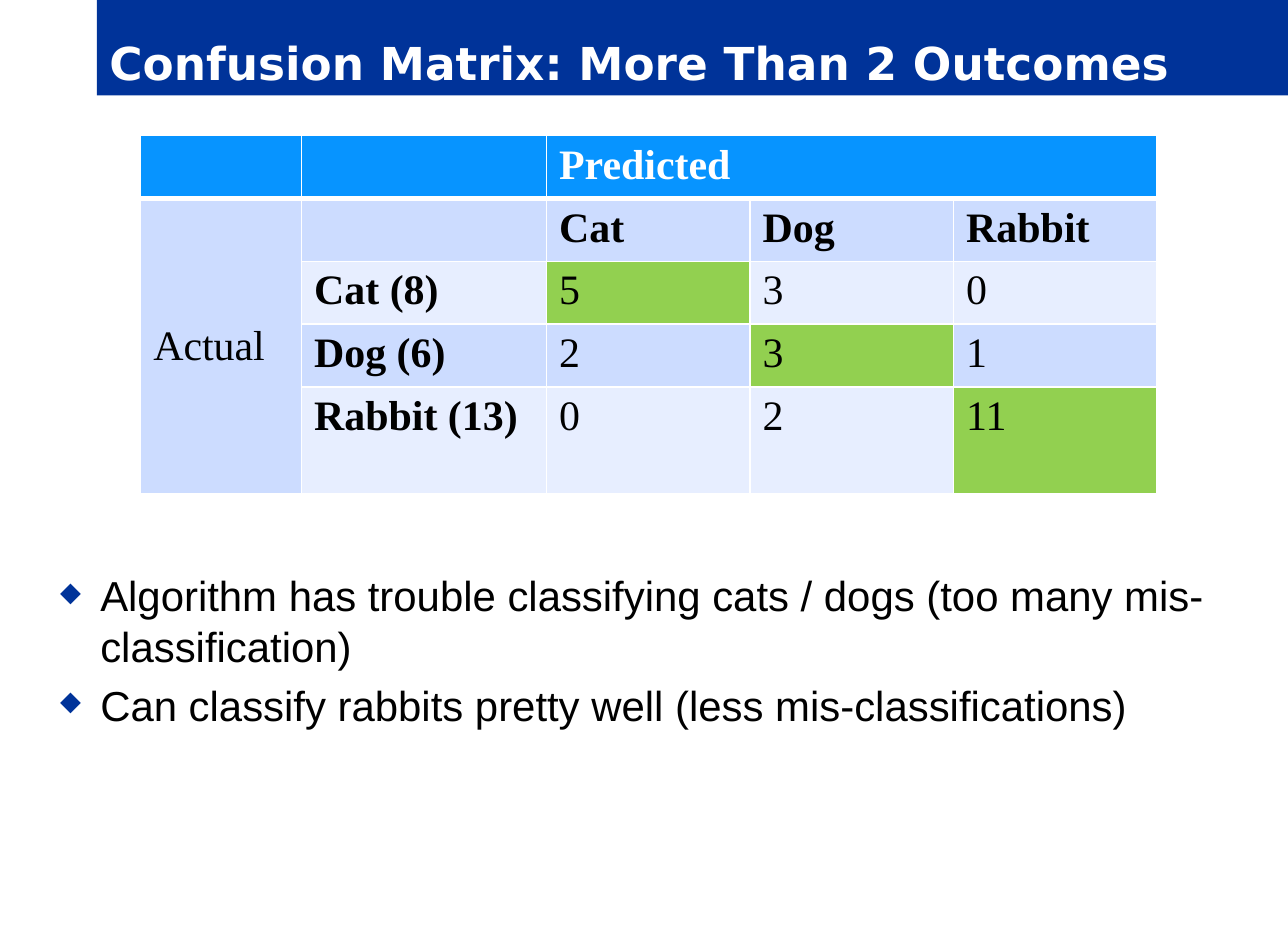
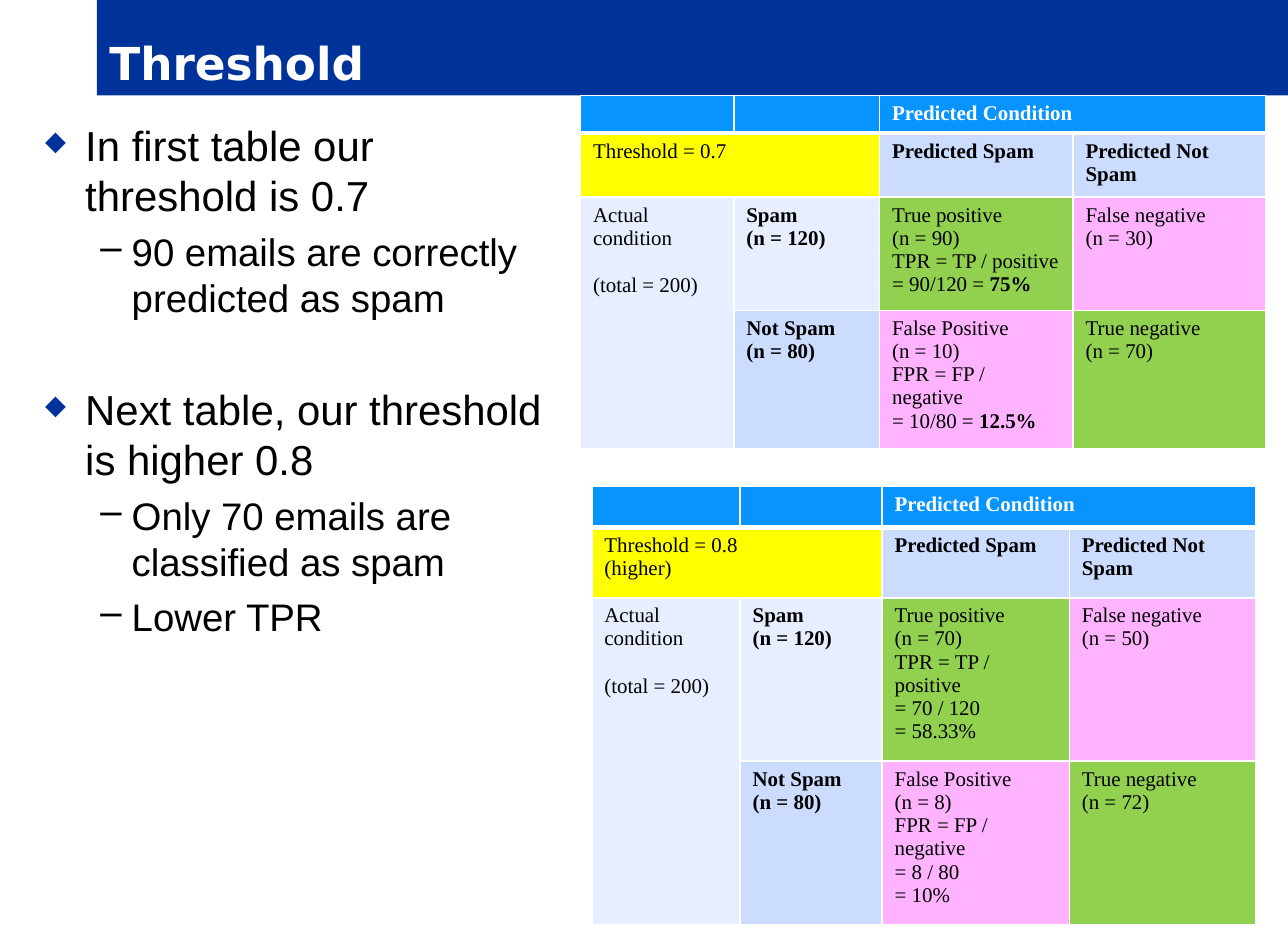
"""Build two slides on confusion matrices and spam thresholds."""
from dataclasses import dataclass

from lxml.etree import SubElement
from pptx import Presentation
from pptx.dml.color import RGBColor
from pptx.enum.text import MSO_ANCHOR, MSO_AUTO_SIZE, PP_ALIGN
from pptx.oxml.ns import qn
from pptx.util import Pt

PX = 9144


@dataclass(frozen=True)
class Theme:
    navy: str = "003399"
    header: str = "0794FF"
    bands: tuple = ("E7EEFF", "CCDCFF")
    green: str = "92D050"
    pink: str = "FFB3FF"
    yellow: str = "FFFF00"
    white: str = "FFFFFF"
    black: str = "000000"
    title_font: str = "DejaVu Sans"
    body_font: str = "Arial"
    table_font: str = "Times New Roman"
    title_size: int = 26
    level_sizes: tuple = (24, 22)
    large_cell: int = 24
    small_cell: int = 12


theme = Theme()
BULLETS = (("◆", theme.navy, 65, 32, -32), ("–", theme.black, 100, 69, -25))


def write(frame, text, font, size, color=theme.black, bold=False, before=0, level=None):
    for line in text.split("\n"):
        para = frame.paragraphs[0]
        if para.runs:
            if not line:
                before = size * 1.15
                continue
            para = frame.add_paragraph()
        para.alignment = PP_ALIGN.LEFT
        para.space_before = Pt(before)
        before = 0
        if level is not None:
            mark, mark_color, percent, left, indent = BULLETS[level]
            para.level = level
            properties = para._p.get_or_add_pPr()
            properties.set("marL", str(left * PX))
            properties.set("indent", str(indent * PX))
            paint = SubElement(properties, qn("a:buClr"))
            SubElement(paint, qn("a:srgbClr"), val=mark_color)
            SubElement(properties, qn("a:buSzPct"), val=str(percent * 1000))
            SubElement(properties, qn("a:buChar"), char=mark)
        if not line:
            para._p.get_or_add_endParaRPr().set("sz", str(size * 100))
            continue
        for index, piece in enumerate(line.split("*")):
            if piece:
                span = para.add_run()
                span.text = piece
                span.font.name = font
                span.font.size = Pt(size)
                span.font.bold = bold or index % 2 == 1
                span.font.color.rgb = RGBColor.from_string(color)


def add_matrix(page, left, top, widths, heights, texts, merges, size,
               corner=None, wrong=None, anchor=MSO_ANCHOR.TOP):
    shape = page.shapes.add_table(len(heights), len(widths), left * PX, top * PX,
                                  sum(widths) * PX, sum(heights) * PX)
    table = shape.table
    table.first_row = table.horz_banding = False
    for column, width in zip(table.columns, widths):
        column.width = width * PX
    for row, height in zip(table.rows, heights):
        row.height = height * PX
    for row, line in enumerate(texts):
        for column, text in enumerate(line):
            cell = table.cell(row, column)
            properties = cell._tc.get_or_add_tcPr()
            for side in "LRTB":
                heavy = (row, side) in ((0, "B"), (1, "T"))
                border = SubElement(properties, qn(f"a:ln{side}"), w=str(Pt(3 if heavy else 1)))
                paint = SubElement(border, qn("a:solidFill"))
                SubElement(paint, qn("a:srgbClr"), val=theme.white)
            fill = theme.bands[row % 2]
            if row == 0:
                fill = theme.header
            elif row == 1 and column < 2:
                fill = corner or fill
            elif row > 1 and column > 1:
                fill = theme.green if row == column else wrong or fill
            cell.fill.solid()
            cell.fill.fore_color.rgb = RGBColor.from_string(fill)
            cell.vertical_anchor = anchor if column == 0 else MSO_ANCHOR.TOP
            write(cell.text_frame, text, theme.table_font, size,
                  color=theme.black if row else theme.white,
                  bold=row == 0 or column == 1 or (row == 1 and column > 1))
    for first, last in merges:
        table.cell(*first).merge(table.cell(*last))


deck = Presentation()
deck.slide_width, deck.slide_height = 1025 * PX, 750 * PX

SLIDES = (
    ("Confusion Matrix: More Than 2 Outcomes", (38, 449, 974, 226), (
        (0, 0, "Algorithm has trouble classifying cats / dogs (too many mis-classification)"),
        (0, 5, "Can classify rabbits pretty well (less mis-classifications)"),
    )),
    ("Threshold", (26, 90, 419, 617), (
        (0, 0, "In first table our threshold is 0.7"),
        (1, 5, "90 emails are correctly predicted as spam"),
        (0, 36, "Next table, our threshold is higher 0.8"),
        (1, 5, "Only 70 emails are classified as spam"),
        (1, 5, "Lower TPR"),
    )),
)

for heading, bounds, points in SLIDES:
    page = deck.slides.add_slide(deck.slide_layouts[5])
    title = page.shapes.title
    title.left, title.top, title.width, title.height = 77 * PX, 0, 948 * PX, 76 * PX
    title.fill.solid()
    title.fill.fore_color.rgb = RGBColor.from_string(theme.navy)
    title.text_frame.auto_size = MSO_AUTO_SIZE.NONE
    title.text_frame.vertical_anchor = MSO_ANCHOR.BOTTOM
    write(title.text_frame, heading, theme.title_font, theme.title_size,
          color=theme.white, bold=True)
    box = page.shapes.add_textbox(*(length * PX for length in bounds))
    box.text_frame.word_wrap = True
    for level, before, text in points:
        write(box.text_frame, text, theme.body_font, theme.level_sizes[level],
              before=before, level=level)

animals_page, threshold_page = deck.slides

add_matrix(
    animals_page, 112, 108, (128, 195, 162, 162, 162), (47, 47, 47, 47, 85),
    (
        ("", "", "Predicted", "", ""),
        ("Actual", "", "Cat", "Dog", "Rabbit"),
        ("", "Cat (8)", "5", "3", "0"),
        ("", "Dog (6)", "2", "3", "1"),
        ("", "Rabbit (13)", "0", "2", "11"),
    ),
    (((0, 2), (0, 4)), ((1, 0), (4, 0))), theme.large_cell, anchor=MSO_ANCHOR.MIDDLE,
)

THRESHOLDS = (
    (462, 76, (122, 116, 154, 153), (30, 51, 72, 105), "0.7",
     (90, 30, 10, 70), "= 90/120 = *75%*", "= 10/80 = *12.5%*"),
    (471, 387, (118, 113, 149, 148), (33, 56, 79, 115), "0.8\n(higher)",
     (70, 50, 8, 72), "= 70 / 120\n= 58.33%", "= 8 / 80\n= 10%"),
)

for left, top, widths, heights, threshold, counts, true_rate, false_rate in THRESHOLDS:
    hits, misses, alarms, rejections = counts
    add_matrix(
        threshold_page, left, top, widths, heights,
        (
            ("", "", "Predicted Condition", ""),
            (f"Threshold = {threshold}", "", "Predicted Spam", "Predicted Not Spam"),
            ("Actual condition\n\n(total = 200)", "Spam\n(n = 120)",
             f"True positive\n(n = {hits})\nTPR = TP / positive\n{true_rate}",
             f"False negative\n(n = {misses})"),
            ("", "Not Spam\n(n = 80)",
             f"False Positive\n(n = {alarms})\nFPR = FP / negative\n{false_rate}",
             f"True negative\n(n = {rejections})"),
        ),
        (((0, 2), (0, 3)), ((1, 0), (1, 1)), ((2, 0), (3, 0))), theme.small_cell,
        corner=theme.yellow, wrong=theme.pink,
    )

deck.save("out.pptx")
